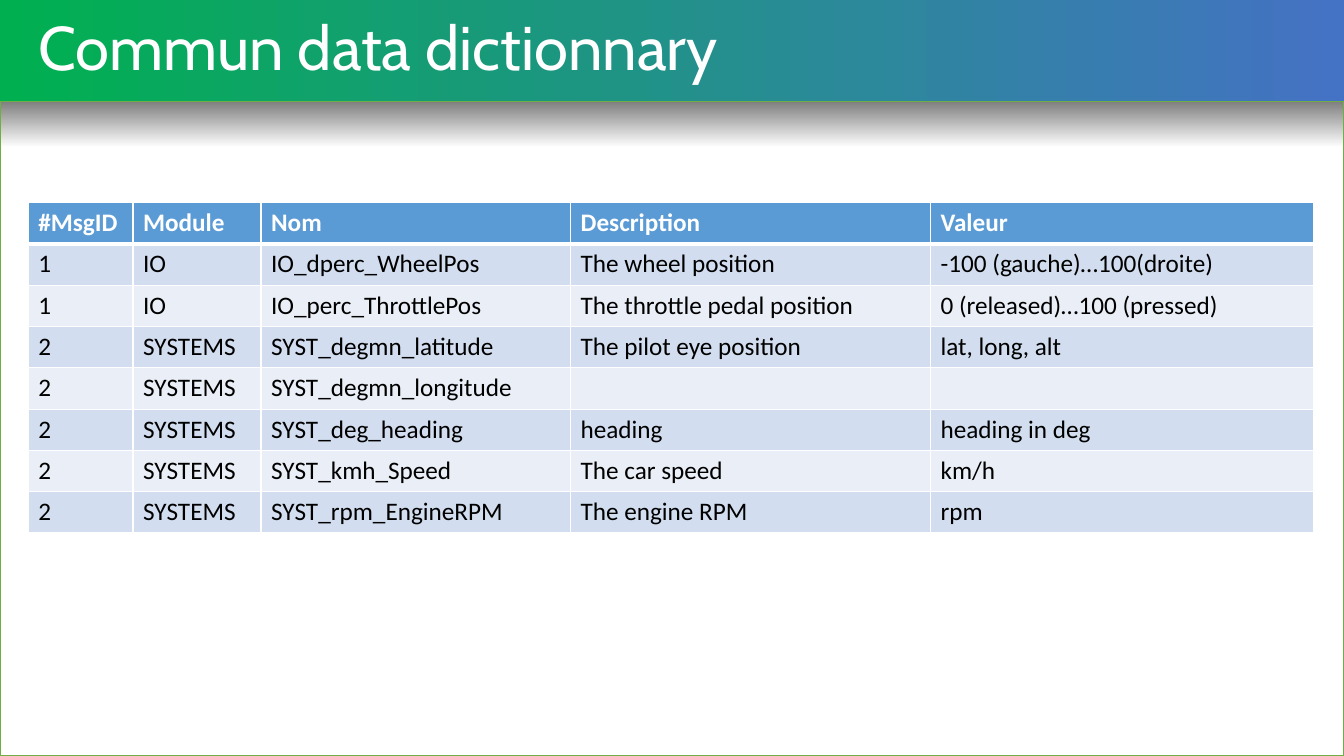
import pptx
import pptx.util
import pptx.dml.color
import pptx.enum.shapes
import pptx.enum.text
from dataclasses import dataclass
from lxml import etree
from pptx.util import Inches


@dataclass(frozen=True)
class Theme:
    green: str = "00B050"
    blue: str = "4472C4"
    edge: str = "70AD47"
    shade: str = "808080"
    white: str = "FFFFFF"
    black: str = "000000"
    head: str = "5B9BD5"
    bands: tuple = ("D2DEEF", "EAEFF7")
    title_font: str = "Cabin"
    body_font: str = "Calibri"
    title_size: int = 44
    body_size: int = 18


THEME = Theme()
WIDTH, HEIGHT = 13.33, 7.5
BAR = 1.01
MARGIN = 0.28
ROW = 0.41
COLS = (1.04, 1.27, 3.07, 3.57, 3.8)
DATA = (
    ("#MsgID", "Module", "Nom", "Description", "Valeur"),
    ("1", "IO", "IO_dperc_WheelPos", "The wheel position", "-100 (gauche)…100(droite)"),
    ("1", "IO", "IO_perc_ThrottlePos", "The throttle pedal position", "0 (released)…100 (pressed)"),
    ("2", "SYSTEMS", "SYST_degmn_latitude", "The pilot eye position", "lat, long, alt"),
    ("2", "SYSTEMS", "SYST_degmn_longitude", "", ""),
    ("2", "SYSTEMS", "SYST_deg_heading", "heading", "heading in deg"),
    ("2", "SYSTEMS", "SYST_kmh_Speed", "The car speed", "km/h"),
    ("2", "SYSTEMS", "SYST_rpm_EngineRPM", "The engine RPM", "rpm"),
)


def rgb(code):
    return pptx.dml.color.RGBColor.from_string(code)


def write(frame, text, font=THEME.body_font, size=THEME.body_size,
          color=THEME.black, bold=False, spacing=None):
    para = frame.paragraphs[0]
    para.alignment = pptx.enum.text.PP_ALIGN.LEFT
    para.line_spacing = spacing
    if not text:
        para.font.size = pptx.util.Pt(size)
        return
    run = para.add_run()
    run.text = text
    run.font.name = font
    run.font.size = pptx.util.Pt(size)
    run.font.bold = bold
    run.font.color.rgb = rgb(color)


def blend(fill, stops, angle):
    """Fill with two (position, colour) stops; the angle is counter-clockwise."""
    fill.gradient()
    fill.gradient_angle = angle
    for stop, (place, color) in zip(fill.gradient_stops, stops):
        stop.position = place
        stop.color.rgb = rgb(color)


def border(cell, side, width):
    props = cell._tc.get_or_add_tcPr()
    line = etree.SubElement(props, pptx.oxml.ns.qn("a:ln" + side),
                            w=str(pptx.util.Pt(width)))
    solid = etree.SubElement(line, pptx.oxml.ns.qn("a:solidFill"))
    etree.SubElement(solid, pptx.oxml.ns.qn("a:srgbClr"), val=THEME.white)


def add_panel(slide, left, top, width, height):
    panel = slide.shapes.add_shape(
        pptx.enum.shapes.MSO_SHAPE.RECTANGLE,
        Inches(left), Inches(top), Inches(width), Inches(height))
    panel.shadow.inherit = False
    blend(panel.fill, ((0.93, THEME.white), (1, THEME.shade)), 90)
    panel.line.color.rgb = rgb(THEME.edge)
    panel.line.width = pptx.util.Pt(1)


def set_title(slide, text, left, top, width, height):
    title = slide.shapes.title
    title.left, title.top = Inches(left), Inches(top)
    title.width, title.height = Inches(width), Inches(height)
    frame = title.text_frame
    frame.auto_size = pptx.enum.text.MSO_AUTO_SIZE.NONE
    frame.vertical_anchor = pptx.enum.text.MSO_ANCHOR.MIDDLE
    write(frame, text, font=THEME.title_font, size=THEME.title_size,
          color=THEME.white, spacing=0.9)


def add_grid(slide, left, top, width):
    """Place the data table, with columns in proportion to COLS."""
    grid = slide.shapes.add_table(
        len(DATA), len(COLS), Inches(left), Inches(top),
        Inches(width), Inches(ROW * len(DATA))).table
    grid.horz_banding = False
    for col, share in zip(grid.columns, COLS):
        col.width = Inches(width * share / sum(COLS))
    for r, texts in enumerate(DATA):
        grid.rows[r].height = Inches(ROW)
        head = r == 0
        for c, text in enumerate(texts):
            cell = grid.cell(r, c)
            for side in "LRTB":
                thick = (r, side) in ((0, "B"), (1, "T"))
                border(cell, side, 3 if thick else 1)
            cell.fill.solid()
            cell.fill.fore_color.rgb = rgb(
                THEME.head if head else THEME.bands[(r - 1) % 2])
            write(cell.text_frame, text, bold=head,
                  color=THEME.white if head else THEME.black)


def main():
    deck = pptx.Presentation()
    deck.slide_width, deck.slide_height = Inches(WIDTH), Inches(HEIGHT)
    slide = deck.slides.add_slide(deck.slide_layouts[5])
    blend(slide.background.fill, ((0, THEME.green), (1, THEME.blue)), 0)
    add_panel(slide, 0, BAR, WIDTH, HEIGHT - BAR)
    inner = sum(COLS)
    set_title(slide, "Commun data dictionnary", MARGIN, 0, inner, BAR)
    add_grid(slide, MARGIN, BAR + 1, inner)
    deck.save("out.pptx")


if __name__ == "__main__":
    main()
